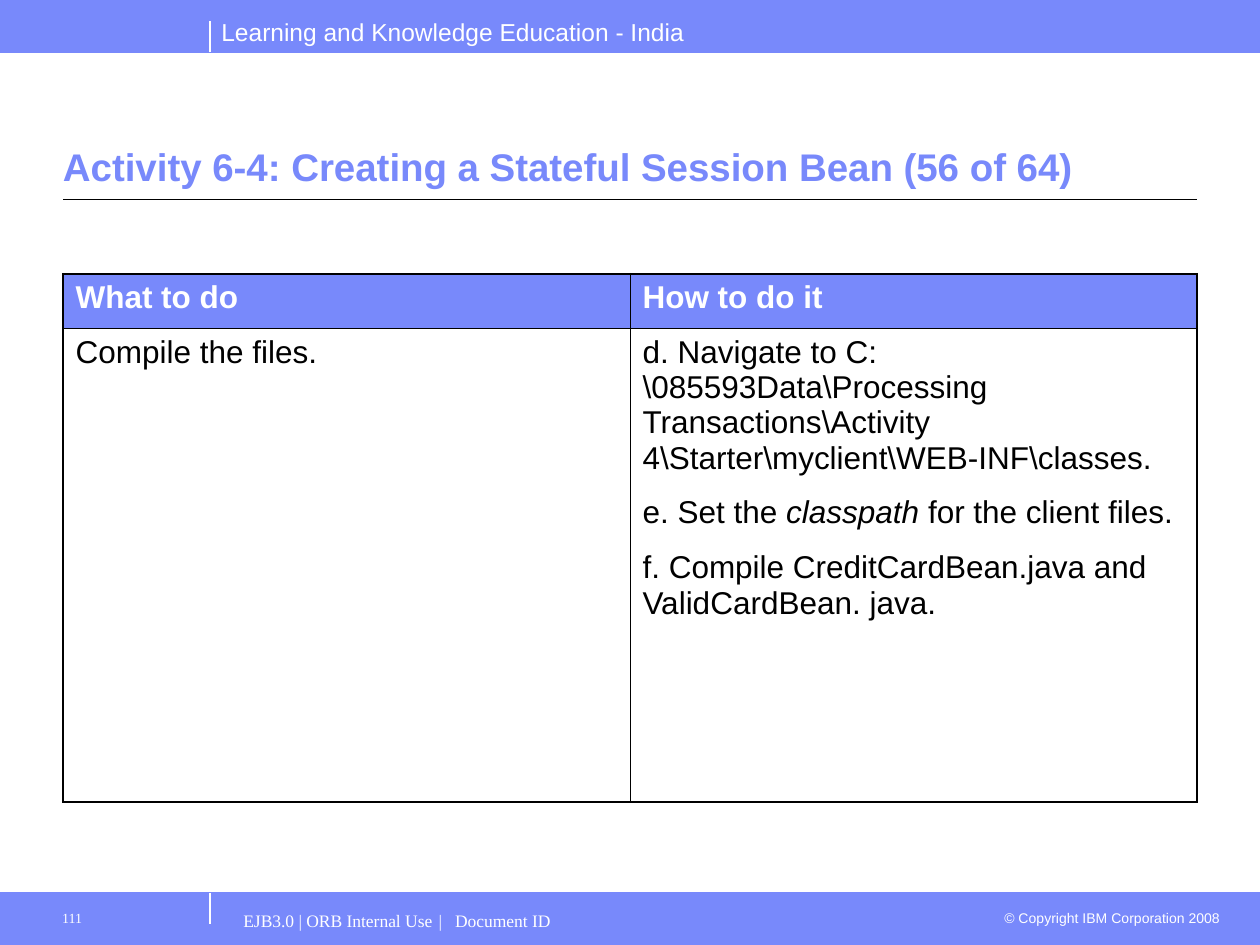
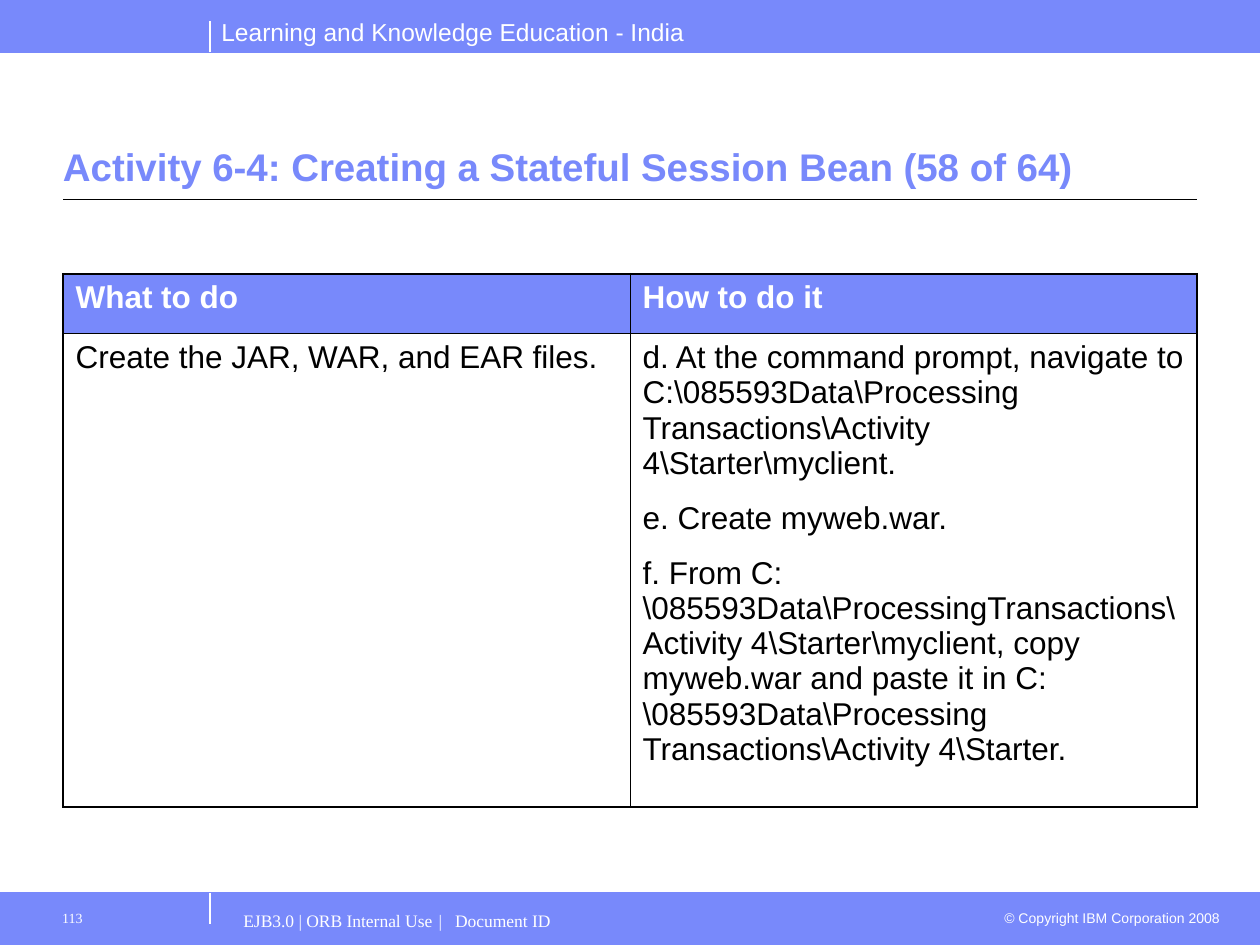
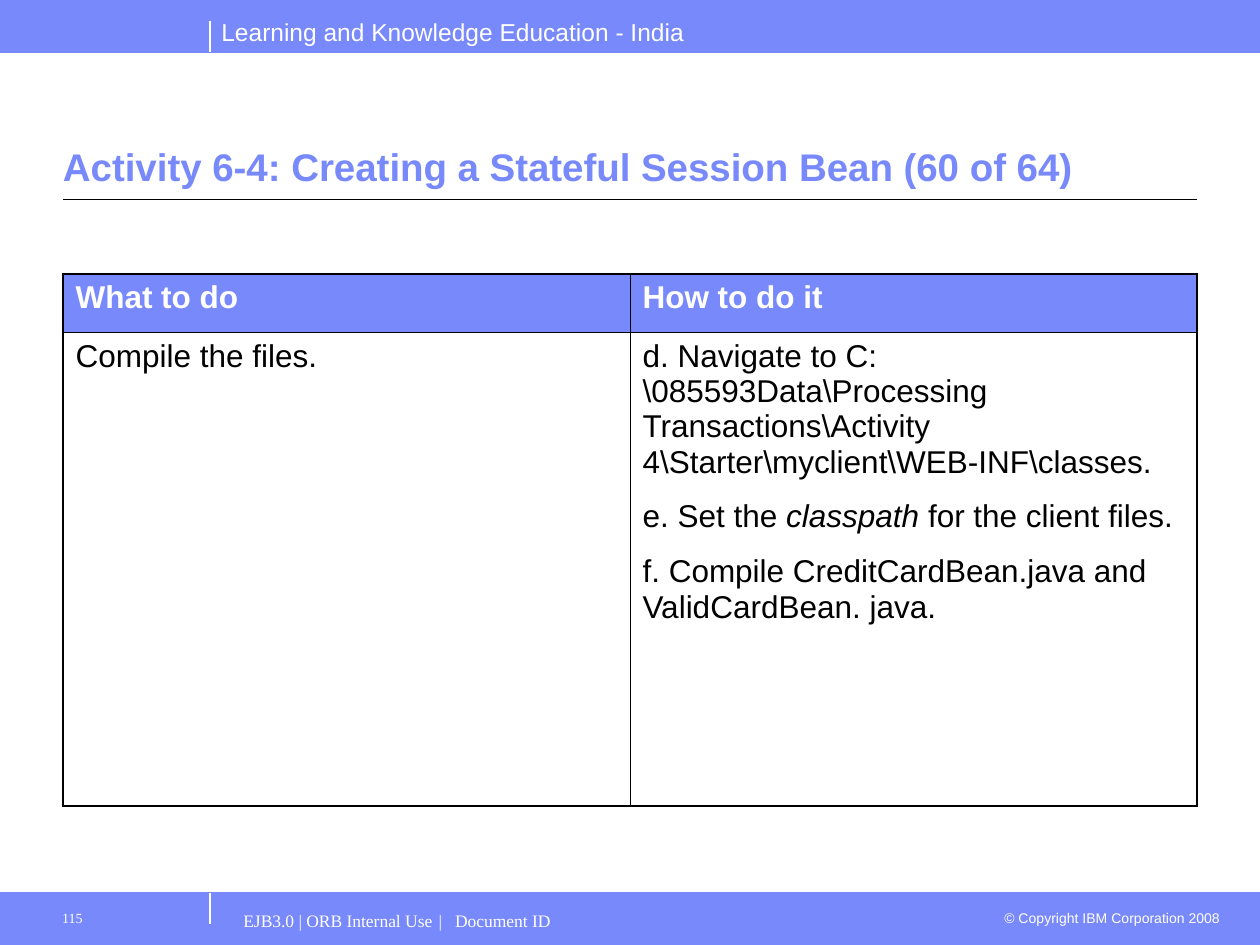
"""Builds three activity slides with shared bands, footers and a two-column task table."""
from dataclasses import dataclass

from lxml.etree import SubElement
from pptx import Presentation
from pptx.dml.color import RGBColor
from pptx.enum.shapes import MSO_CONNECTOR, MSO_SHAPE
from pptx.enum.text import MSO_ANCHOR, MSO_AUTO_SIZE, PP_ALIGN
from pptx.oxml.ns import qn
from pptx.slide import Slide
from pptx.table import _Cell
from pptx.text.text import _Paragraph
from pptx.util import Inches, Length, Pt

BLUE = RGBColor(0x78, 0x89, 0xFB)
WHITE = RGBColor(0xFF, 0xFF, 0xFF)
BLACK = RGBColor(0, 0, 0)
SANS, SERIF = "Arial", "Times New Roman"

WIDTH, HEIGHT = Inches(10), Inches(7.5)
COLS, ROWS = 60, 90
BAND = 5
MARGIN = 3
DIVIDER = 10
TABLE_TOP = 26.08
COLUMN = (COLS - 2 * MARGIN) / 2
BODY_ROWS = 45.1
OUTER, INNER = 1.08, 0.45


@dataclass(frozen=True)
class Rule:
    x1: float
    y1: float
    x2: float
    y2: float
    color: RGBColor
    weight: float = 0.75


@dataclass(frozen=True)
class Label:
    x: float
    y: float
    w: float
    h: float
    size: float
    font: str = SANS
    color: RGBColor = WHITE
    bold: bool = False
    align: PP_ALIGN = PP_ALIGN.LEFT
    anchor: MSO_ANCHOR = MSO_ANCHOR.TOP
    side_inset: float = 0.1
    left_inset: float | None = None
    top_inset: float = 0.05
    tabs: tuple[float, ...] = ()


@dataclass(frozen=True)
class Activity:
    number: int
    step: int
    header_rows: float
    task: str
    actions: tuple[str, ...]


RULES = (
    Rule(DIVIDER, ROWS - 2, DIVIDER, ROWS - BAND, WHITE),
    Rule(0, BAND, COLS, BAND, BLUE, 0.5),
    Rule(0, ROWS - BAND, COLS, ROWS - BAND, BLUE, 0.5),
    Rule(MARGIN, 19, COLS - MARGIN, 19, BLACK),
    Rule(DIVIDER, BAND, DIVIDER, 2, WHITE),
)
HEADER = Label(9.95, 1, 25, 4, 14)
COPYRIGHT = Label(47, 86, 11.7, 2.9, 8, align=PP_ALIGN.RIGHT)
TITLE = Label(MARGIN, 7.6, COLS - 2 * MARGIN, 11, 22, color=BLUE, bold=True,
              anchor=MSO_ANCHOR.BOTTOM, side_inset=0)
FOOTER = Label(11, 85.8, 36, 4.2, 10, SERIF, top_inset=0.07, tabs=(1.55, 1.68))
NUMBER = Label(2, 85.8, 8, 4.2, 8, SERIF, left_inset=0.16, top_inset=0.07)

COMPILE_TASK = "Compile the files."
COMPILE_ACTIONS = (
    r"d. Navigate to C:\085593Data\Processing Transactions\Activity 4\Starter\myclient\WEB-INF\classes.",
    "e. Set the *classpath* for the client files.",
    "f. Compile CreditCardBean.java and ValidCardBean. java.",
)
PACKAGE_ACTIONS = (
    r"d. At the command prompt, navigate to C:\085593Data\Processing Transactions\Activity 4\Starter\myclient.",
    "e. Create myweb.war.",
    r"f. From C:\085593Data\ProcessingTransactions\Activity 4\Starter\myclient, copy myweb.war "
    r"and paste it in C:\085593Data\Processing Transactions\Activity 4\Starter.",
)
ACTIVITIES = (
    Activity(111, 56, 5.2, COMPILE_TASK, COMPILE_ACTIONS),
    Activity(113, 58, 5.7, "Create the JAR, WAR, and EAR files.", PACKAGE_ACTIONS),
    Activity(115, 60, 5.58, COMPILE_TASK, COMPILE_ACTIONS),
)


def across(cols: float) -> Length:
    return Length(round(WIDTH * cols / COLS))


def down(rows: float) -> Length:
    return Length(round(HEIGHT * rows / ROWS))


def set_font(p: _Paragraph, name: str, size: float, color: RGBColor, bold: bool) -> None:
    p.font.name = name
    p.font.size = Pt(size)
    p.font.bold = bold
    p.font.color.rgb = color


def add_band(s: Slide, top: float) -> None:
    sp = s.shapes.add_shape(MSO_SHAPE.RECTANGLE, 0, down(top), WIDTH, down(BAND))
    sp.shadow.inherit = False
    sp.fill.solid()
    sp.fill.fore_color.rgb = BLUE
    sp.line.color.rgb = BLUE
    sp.line.width = Pt(0.75)


def add_rule(s: Slide, rule: Rule) -> None:
    line = s.shapes.add_connector(MSO_CONNECTOR.STRAIGHT, across(rule.x1), down(rule.y1),
                                  across(rule.x2), down(rule.y2))
    line.line.color.rgb = rule.color
    line.line.width = Pt(rule.weight)
    SubElement(line._element.spPr, qn("a:effectLst"))


def add_label(s: Slide, label: Label, text: str) -> None:
    sp = s.shapes.add_textbox(across(label.x), down(label.y), across(label.w), down(label.h))
    tf = sp.text_frame
    tf.word_wrap = True
    tf.auto_size = MSO_AUTO_SIZE.NONE
    tf.vertical_anchor = label.anchor
    left = label.side_inset if label.left_inset is None else label.left_inset
    tf.margin_left, tf.margin_right = Inches(left), Inches(label.side_inset)
    tf.margin_top, tf.margin_bottom = Inches(label.top_inset), Inches(0.05)
    p = tf.paragraphs[0]
    p.text = text
    p.alignment = label.align
    if label.tabs:
        stops = SubElement(p._p.get_or_add_pPr(), qn("a:tabLst"))
        for tab in label.tabs:
            SubElement(stops, qn("a:tab"), pos=str(Inches(tab)), algn="l")
    set_font(p, label.font, label.size, label.color, label.bold)


def set_borders(cell: _Cell, row: int, col: int) -> None:
    outer_sides = {"L" if col == 0 else "R", "T" if row == 0 else "B"}
    for side in "LRTB":
        weight = OUTER if side in outer_sides else INNER
        ln = SubElement(cell._tc.get_or_add_tcPr(), qn(f"a:ln{side}"), w=str(Pt(weight)))
        fill = SubElement(ln, qn("a:solidFill"))
        SubElement(fill, qn("a:srgbClr"), val=str(BLACK))


def fill_cell(cell: _Cell, paragraphs: tuple[str, ...], is_header: bool) -> None:
    if is_header:
        cell.fill.solid()
        cell.fill.fore_color.rgb = BLUE
    else:
        cell.fill.background()
    tf = cell.text_frame
    for i, text in enumerate(paragraphs):
        p = tf.add_paragraph() if i else tf.paragraphs[0]
        for j, part in enumerate(text.split("*")):
            r = p.add_run()
            r.text = part
            if j % 2:
                r.font.italic = True
        p.space_after = Pt(11.2)
        set_font(p, SANS, 18, WHITE if is_header else BLACK, is_header)


def add_task_table(s: Slide, activity: Activity) -> None:
    heights = (activity.header_rows, BODY_ROWS)
    table = s.shapes.add_table(2, 2, across(MARGIN), down(TABLE_TOP),
                               across(2 * COLUMN), down(sum(heights))).table
    table.horz_banding = False
    for column in table.columns:
        column.width = across(COLUMN)
    contents = ((("What to do",), ("How to do it",)), ((activity.task,), activity.actions))
    for row, cells in enumerate(contents):
        table.rows[row].height = down(heights[row])
        for col, paragraphs in enumerate(cells):
            cell = table.cell(row, col)
            set_borders(cell, row, col)
            fill_cell(cell, paragraphs, row == 0)


def add_frame(s: Slide, number: int) -> None:
    for top in (ROWS - BAND, 0):
        add_band(s, top)
    for rule in RULES:
        add_rule(s, rule)
    add_label(s, HEADER, "Learning and Knowledge Education - India")
    add_label(s, COPYRIGHT, "© Copyright IBM Corporation 2008")
    add_label(s, FOOTER, "EJB3.0 | ORB Internal Use\t|\tDocument ID")
    add_label(s, NUMBER, str(number))


def main() -> None:
    prs = Presentation()
    prs.slide_width, prs.slide_height = WIDTH, HEIGHT
    for activity in ACTIVITIES:
        s = prs.slides.add_slide(prs.slide_layouts[6])
        add_frame(s, activity.number)
        add_label(s, TITLE, f"Activity 6-4: Creating a Stateful Session Bean ({activity.step} of 64)")
        add_task_table(s, activity)
    prs.save("out.pptx")


if __name__ == "__main__":
    main()
